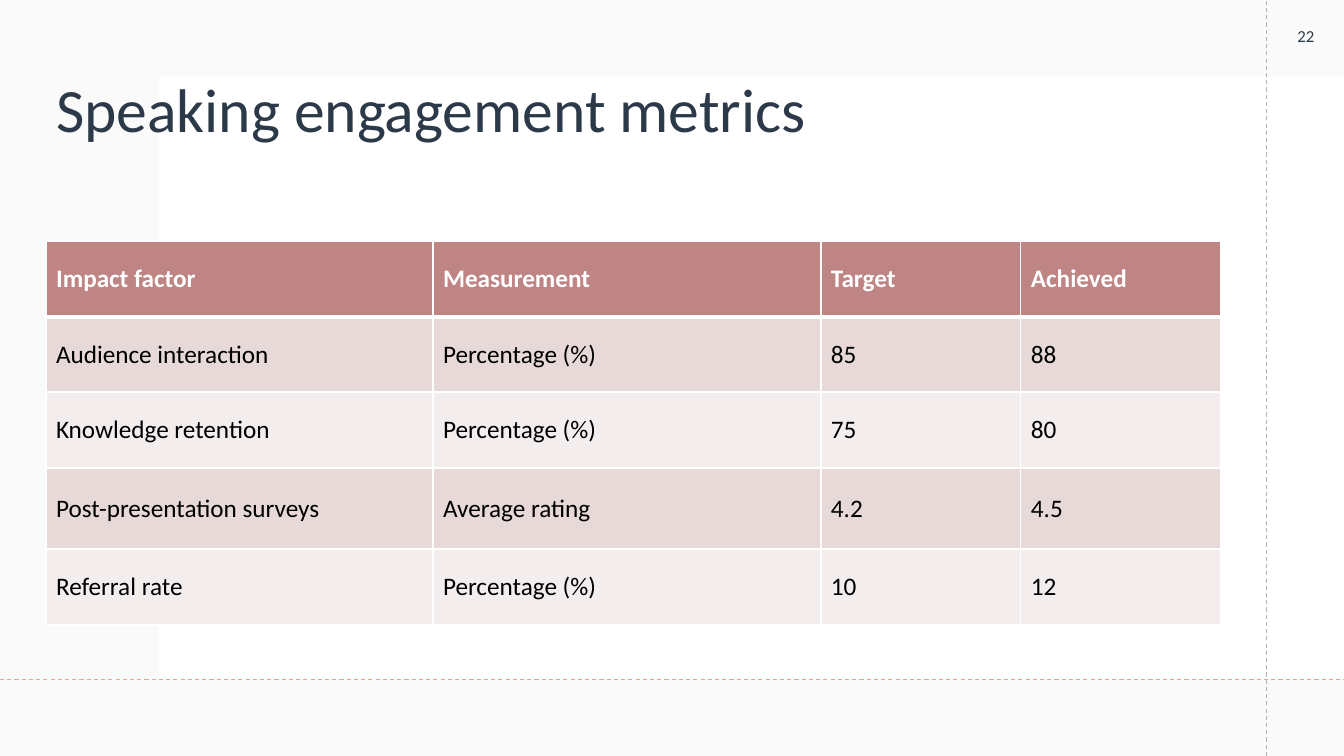
from lxml import etree
from pptx import Presentation
from pptx import util as u
from pptx.dml.color import RGBColor
from pptx.enum import dml, shapes, text
from pptx.oxml.ns import qn

PX = 914400 / 100.8  # EMU in one pixel
FONT = "Calibri"
COLORS = {
    "white": "FFFFFF",
    "black": "000000",
    "veil": "F4F4F4",
    "ink": "2C3948",
    "guide": "F49D90",
    "guide_grey": "B3B3B3",
    "header": "BF8484",
    "odd_row": "E8D9D9",
    "even_row": "F4EDED",
}
METRICS = [
    ["Impact factor", "Measurement", "Target", "Achieved"],
    ["Audience interaction", "Percentage (%)", "85", "88"],
    ["Knowledge retention", "Percentage (%)", "75", "80"],
    ["Post-presentation surveys", "Average rating", "4.2", "4.5"],
    ["Referral rate", "Percentage (%)", "10", "12"],
]
COLUMN_WIDTHS = [387, 388, 200, 200]
ROW_HEIGHTS = [76, 75, 76, 81, 76]


def px(length):
    return u.Emu(round(length * PX))


def color(name):
    return RGBColor.from_string(COLORS[name])


def style_text(frame, size, ink, align=text.PP_ALIGN.LEFT, bold=False):
    para = frame.paragraphs[0]
    para.alignment = align
    for span in para.runs:
        span.font.name = FONT
        span.font.size = u.Pt(size)
        span.font.bold = bold
        span.font.color.rgb = color(ink)


def add_panel(page, left, top, width, height, fill, alpha=100):
    panel = page.shapes.add_shape(
        shapes.MSO_SHAPE.RECTANGLE, px(left), px(top), px(width), px(height))
    panel.shadow.inherit = False
    panel.line.fill.background()
    panel.fill.solid()
    panel.fill.fore_color.rgb = color(fill)
    if alpha < 100:
        tint = panel._element.spPr.find(".//" + qn("a:srgbClr"))
        etree.SubElement(tint, qn("a:alpha"), val=str(alpha * 1000))


def add_guide(page, x1, y1, x2, y2, ink):
    guide = page.shapes.add_connector(
        shapes.MSO_CONNECTOR.STRAIGHT, px(x1), px(y1), px(x2), px(y2))
    guide.line.color.rgb = color(ink)
    guide.line.width = u.Pt(0.75)
    guide.line.dash_style = dml.MSO_LINE.DASH
    etree.SubElement(guide._element.spPr, qn("a:effectLst"))


def set_title(page, wording, left, top, width, height):
    title = page.shapes.title
    title.left, title.top = px(left), px(top)
    title.width, title.height = px(width), px(height)
    frame = title.text_frame
    frame.text = wording
    frame.auto_size = text.MSO_AUTO_SIZE.NONE
    frame.vertical_anchor = text.MSO_ANCHOR.MIDDLE
    frame.paragraphs[0].line_spacing = 0.9
    style_text(frame, 44, "ink")
    page.shapes._spTree.append(title._element)  # bring above the panels


def add_page_number(page, number, left, top, size):
    box = page.shapes.add_textbox(px(left), px(top), px(size), px(size))
    frame = box.text_frame
    frame.word_wrap = True
    frame.vertical_anchor = text.MSO_ANCHOR.MIDDLE
    frame.text = number
    style_text(frame, 12, "ink", text.PP_ALIGN.CENTER)


def set_borders(cell, bottom, top):
    widths = {"a:lnL": 1, "a:lnR": 1, "a:lnT": top, "a:lnB": bottom}
    properties = cell._tc.get_or_add_tcPr()
    for index, (side, width) in enumerate(widths.items()):
        line = etree.Element(qn(side), w=str(u.Pt(width)))
        fill = etree.SubElement(line, qn("a:solidFill"))
        etree.SubElement(fill, qn("a:srgbClr"), val=COLORS["white"])
        properties.insert(index, line)


def add_metrics_table(page, left, top):
    table = page.shapes.add_table(
        len(METRICS), len(COLUMN_WIDTHS), px(left), px(top),
        px(sum(COLUMN_WIDTHS)), px(sum(ROW_HEIGHTS))).table
    for column, width in zip(table.columns, COLUMN_WIDTHS):
        column.width = px(width)
    for r, (row, height) in enumerate(zip(table.rows, ROW_HEIGHTS)):
        row.height = px(height)
        header = r == 0
        fill = "header" if header else ("odd_row" if r % 2 else "even_row")
        for cell, wording in zip(row.cells, METRICS[r]):
            cell.text_frame.text = wording
            cell.vertical_anchor = text.MSO_ANCHOR.MIDDLE
            cell.fill.solid()
            cell.fill.fore_color.rgb = color(fill)
            style_text(cell.text_frame, 18, "white" if header else "black",
                       bold=header)
            set_borders(cell, bottom=3 if header else 1, top=3 if r == 1 else 1)


def main():
    deck = Presentation()
    deck.slide_width, deck.slide_height = px(1344), px(756)
    page = deck.slides.add_slide(deck.slide_layouts[5])

    # Backdrop and guide lines
    add_panel(page, 0, 0, 1344, 756, "veil", alpha=45)
    add_panel(page, 159, 76, 1185, 604, "white")
    add_guide(page, 1267, 756, 1267, 0, "guide_grey")
    add_guide(page, 0, 680, 1344, 680, "guide")

    # Heading and page number
    set_title(page, "Speaking engagement metrics", 46, 40, 1175, 146)
    add_page_number(page, "22", 1268, -2, 76)

    # Metrics
    add_metrics_table(page, 46, 241)

    deck.save("out.pptx")


if __name__ == "__main__":
    main()
